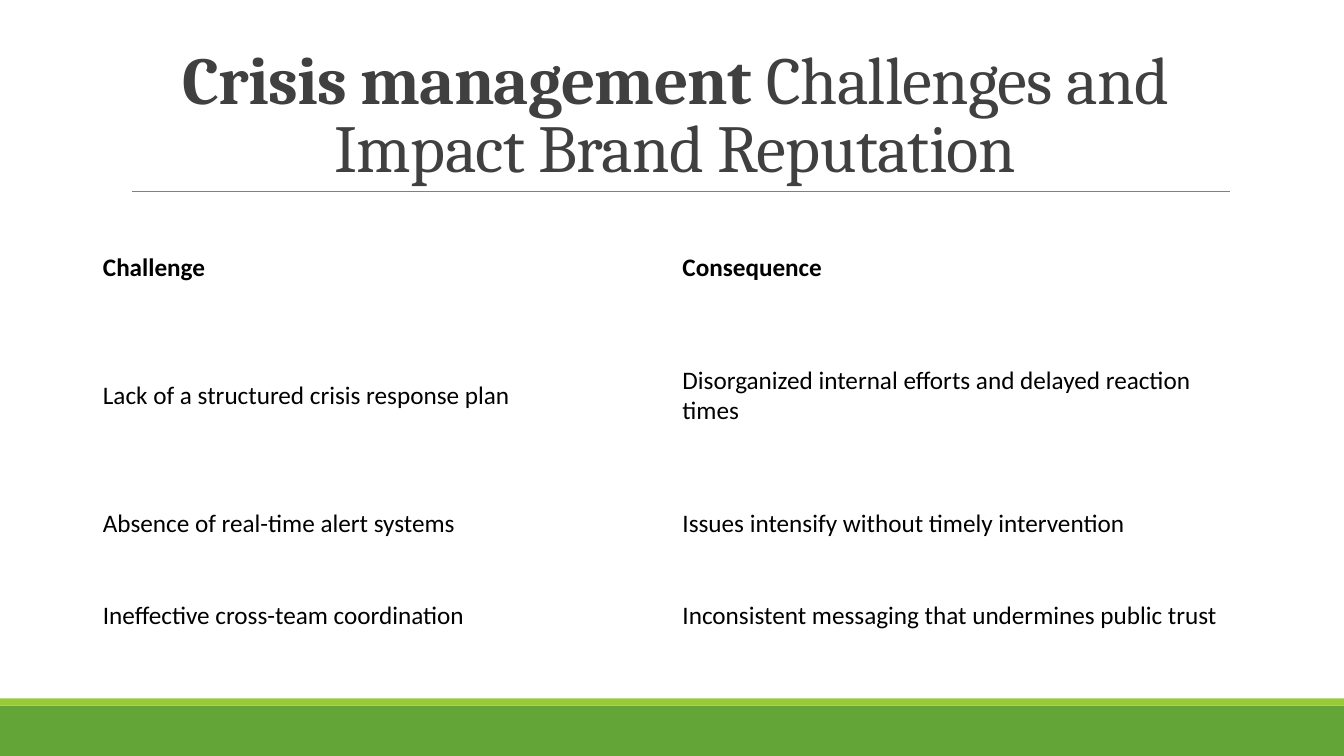
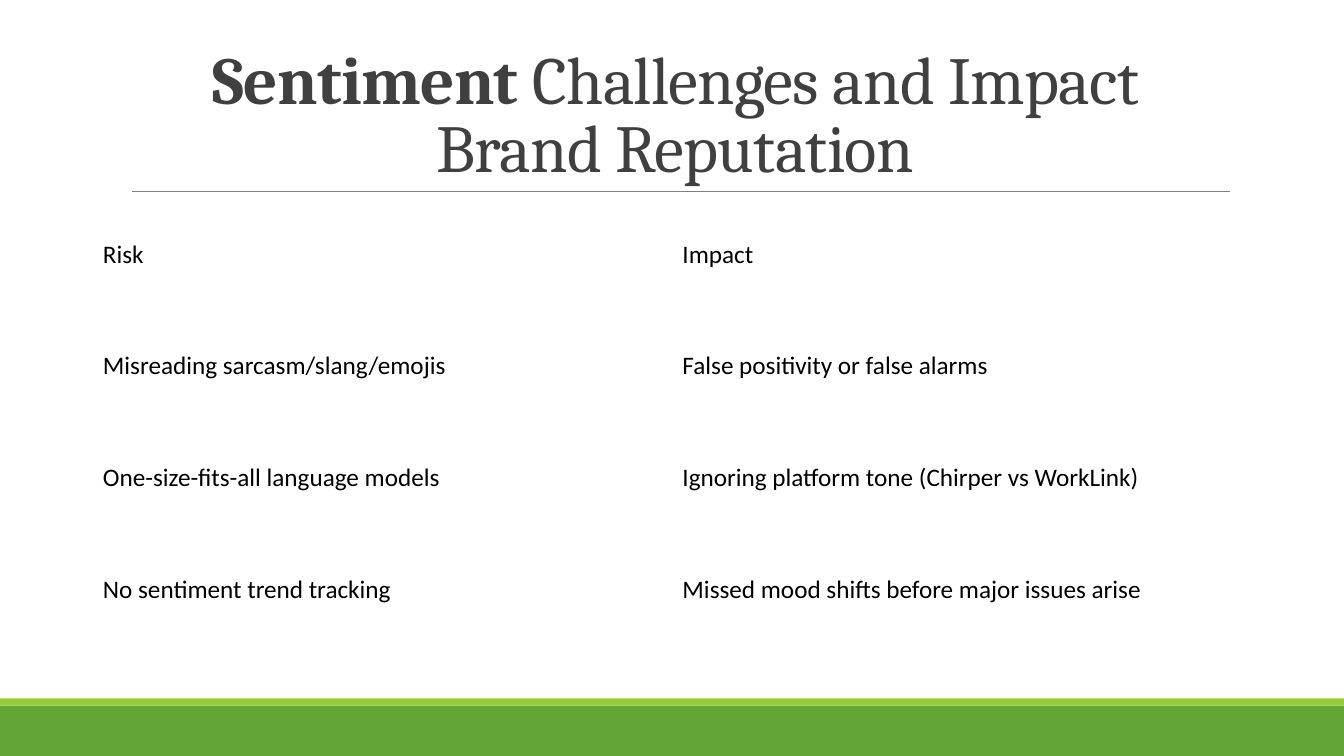
from pptx import Presentation
from pptx.dml.color import RGBColor
from pptx.enum.shapes import MSO_CONNECTOR, MSO_SHAPE
from pptx.enum.text import MSO_ANCHOR, PP_ALIGN
from pptx.oxml.ns import qn
from pptx.util import Cm, Pt
from lxml.etree import SubElement

COLORS = {
    "green": "63A537",
    "lime": "99CB38",
    "rule": "808080",
    "title": "404040",
    "body": "000000",
}
WIDTH, HEIGHT = 33.87, 19.05
FOOTER_HEIGHT, STRIPE_HEIGHT = 1.27, 0.18
TITLE_BOX = (3.05, 0.79, 27.94, 4.04)
RULE_INSET = 0.28
TABLE_LEFT, TABLE_WIDTH = 2.34, 29.21


def rgb(name):
    return RGBColor.from_string(COLORS[name])


def add_text(p, text, font="Calibri", size=18, color="body", bold=False, spacing=None):
    r = p.add_run()
    r.text = text
    r.font.name = font
    r.font.size = Pt(size)
    r.font.bold = bold
    r.font.color.rgb = rgb(color)
    if spacing is not None:
        r.font._element.set("spc", str(round(spacing * 100)))


def add_band(s, top, height, color):
    sp = s.shapes.add_shape(MSO_SHAPE.RECTANGLE, 0, Cm(top), Cm(WIDTH), Cm(height))
    sp.shadow.inherit = False
    sp.fill.solid()
    sp.fill.fore_color.rgb = rgb(color)
    sp.line.fill.background()


def add_footer(s):
    top = HEIGHT - FOOTER_HEIGHT
    add_band(s, top, FOOTER_HEIGHT, "green")
    add_band(s, top - STRIPE_HEIGHT, STRIPE_HEIGHT, "lime")


def add_title(s, box, strong, rest):
    left, top, width, height = box
    y = Cm(top + height)
    start = left + RULE_INSET
    rule = s.shapes.add_connector(
        MSO_CONNECTOR.STRAIGHT, Cm(start), y, Cm(start + width - RULE_INSET), y
    )
    rule.line.color.rgb = rgb("rule")
    rule.line.width = Pt(0.5)
    SubElement(rule._element.spPr, qn("a:effectLst"))

    tf = s.shapes.add_textbox(*map(Cm, box)).text_frame
    tf.word_wrap = True
    tf.vertical_anchor = MSO_ANCHOR.BOTTOM
    p = tf.paragraphs[0]
    p.alignment = PP_ALIGN.CENTER
    p.line_spacing = 0.85
    style = dict(font="Cambria", size=48, color="title", spacing=-0.5)
    add_text(p, strong, bold=True, **style)
    add_text(p, rest, **style)


def add_table(s, box, rows, heights, bold_header):
    left, top, width = box
    columns = len(rows[0])
    table = s.shapes.add_table(
        len(rows), columns, Cm(left), Cm(top), Cm(width), Cm(sum(heights))
    ).table
    table.first_row = False
    table.horz_banding = False
    for column in table.columns:
        column.width = Cm(width / columns)
    for i, (row, height) in enumerate(zip(rows, heights)):
        table.rows[i].height = Cm(height)
        for j, text in enumerate(row):
            cell = table.cell(i, j)
            cell.fill.background()
            cell.vertical_anchor = MSO_ANCHOR.MIDDLE
            add_text(cell.text_frame.paragraphs[0], text, bold=bold_header and i == 0)


def add_comparison_slide(prs, topic, rest, rows, top, heights, bold_header=False):
    s = prs.slides.add_slide(prs.slide_layouts[6])
    add_footer(s)
    add_title(s, TITLE_BOX, topic, rest)
    add_table(s, (TABLE_LEFT, top, TABLE_WIDTH), rows, heights, bold_header)


def main():
    prs = Presentation()
    prs.slide_width, prs.slide_height = Cm(WIDTH), Cm(HEIGHT)
    crisis = [
        ("Challenge", "Consequence"),
        (
            "Lack of a structured crisis response plan",
            "Disorganized internal efforts and delayed reaction times",
        ),
        ("Absence of real-time alert systems", "Issues intensify without timely intervention"),
        (
            "Ineffective cross-team coordination",
            "Inconsistent messaging that undermines public trust",
        ),
    ]
    sentiment = [
        ("Risk", "Impact"),
        ("Misreading sarcasm/slang/emojis", "False positivity or false alarms"),
        ("One-size-fits-all language models", "Ignoring platform tone (Chirper vs WorkLink)"),
        ("No sentiment trend tracking", "Missed mood shifts before major issues arise"),
    ]
    add_comparison_slide(
        prs, "Crisis management ", "Challenges and Impact Brand Reputation",
        crisis, 5.59, [2.34, 4.09, 2.34, 2.34], bold_header=True,
    )
    add_comparison_slide(
        prs, "Sentiment", " Challenges and Impact Brand Reputation",
        sentiment, 5, [2.82] * len(sentiment),
    )
    prs.save("out.pptx")


if __name__ == "__main__":
    main()
